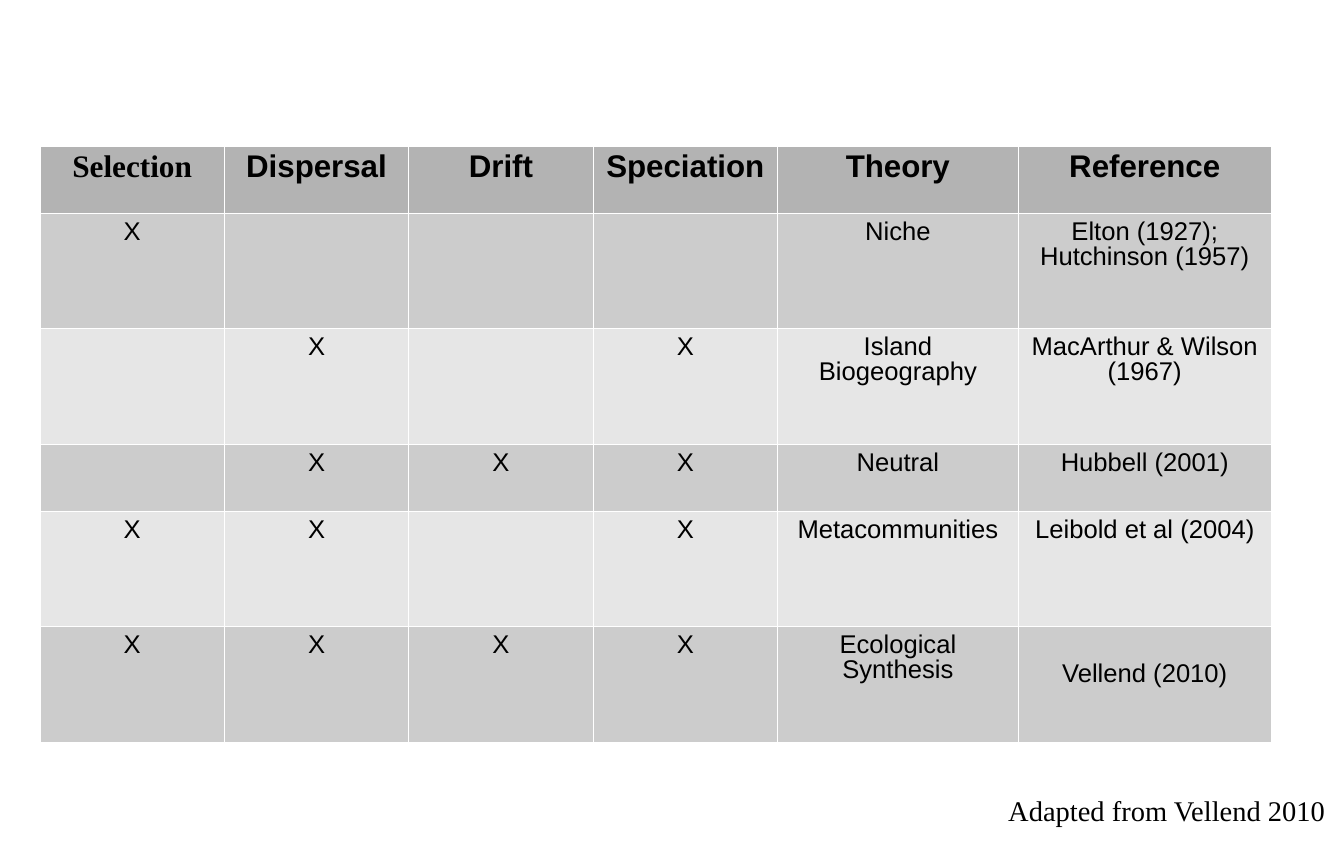
import pptx
import pptx.util
from lxml import etree
from pptx.dml.color import RGBColor
from pptx.enum.text import MSO_ANCHOR, PP_ALIGN
from pptx.oxml.ns import qn
from pptx.util import Inches

COLORS = {
    "header": "B3B3B3",
    "odd": "CCCCCC",
    "even": "E6E6E6",
    "border": "FFFFFF",
    "text": "000000",
}
COLUMN_WIDTHS = [1.8, 1.8, 1.8, 1.8, 2.35, 2.47]
ROW_HEIGHTS = [0.65, 1.13, 1.13, 0.65, 1.13, 1.13]
THEORIES = [
    ["Selection", "Dispersal", "Drift", "Speciation", "Theory", "Reference"],
    ["X", "", "", "", "Niche", "Elton (1927); Hutchinson (1957)"],
    ["", "X", "", "X", "Island Biogeography", "MacArthur & Wilson (1967)"],
    ["", "X", "X", "X", "Neutral", "Hubbell (2001)"],
    ["X", "X", "", "X", "Metacommunities", "Leibold et al (2004)"],
    ["X", "X", "X", "X", "Ecological Synthesis", "Vellend (2010)"],
]


def set_margins(box, left, top, right, bottom):
    box.margin_left, box.margin_top = Inches(left), Inches(top)
    box.margin_right, box.margin_bottom = Inches(right), Inches(bottom)


def format_para(para, size, font_name, spacing, bold=False):
    para.alignment = PP_ALIGN.CENTER
    para.line_spacing = spacing
    para.font.size = pptx.util.Pt(size)
    para.font.name = font_name
    para.font.bold = bold
    para.font.color.rgb = RGBColor.from_string(COLORS["text"])


def add_borders(cell):
    properties = cell._tc.get_or_add_tcPr()
    for position, side in enumerate(("a:lnL", "a:lnR", "a:lnT", "a:lnB")):
        line = etree.Element(qn(side), w=str(pptx.util.Pt(0.75)))
        fill = etree.SubElement(line, qn("a:solidFill"))
        etree.SubElement(fill, qn("a:srgbClr"), val=COLORS["border"])
        properties.insert(position, line)


def fill_cell(cell, text, color, is_header):
    cell.fill.solid()
    cell.fill.fore_color.rgb = RGBColor.from_string(color)
    add_borders(cell)
    set_margins(cell, 0.1, 0.07, 0.1, 0.05)
    cell.text = text
    size = 22 if is_header else 18
    format_para(cell.text_frame.paragraphs[0], size, "Arial", 0.87, is_header)


def add_theory_table(page, left, top):
    frame = page.shapes.add_table(
        len(THEORIES), len(COLUMN_WIDTHS), Inches(left), Inches(top),
        Inches(sum(COLUMN_WIDTHS)), Inches(sum(ROW_HEIGHTS)))
    table = frame.table
    for column, width in zip(table.columns, COLUMN_WIDTHS):
        column.width = Inches(width)
    for index, (row, height) in enumerate(zip(table.rows, ROW_HEIGHTS)):
        row.height = Inches(height)
        is_header = index == 0
        band = "header" if is_header else "odd" if index % 2 else "even"
        for cell, text in zip(row.cells, THEORIES[index]):
            fill_cell(cell, text, COLORS[band], is_header)
    selection = table.cell(0, 0).text_frame.paragraphs[0]
    format_para(selection, 22, "Times New Roman", 0.86, True)
    last_reference = table.cell(len(THEORIES) - 1, len(COLUMN_WIDTHS) - 1)
    last_reference.margin_top = Inches(0.35)


def add_source_note(page, left, top, width, height):
    box = page.shapes.add_textbox(
        Inches(left), Inches(top), Inches(width), Inches(height))
    frame = box.text_frame
    frame.word_wrap = True
    frame.vertical_anchor = MSO_ANCHOR.MIDDLE
    set_margins(frame, 0.04, 0.06, 0.04, 0.04)
    frame.text = "Adapted from Vellend 2010"
    format_para(frame.paragraphs[0], 20, "Times New Roman", 0.93)


def main():
    deck = pptx.Presentation()
    deck.slide_width, deck.slide_height = Inches(13.12), Inches(8.27)
    page = deck.slides.add_slide(deck.slide_layouts[6])
    add_source_note(page, 9.66, 7.57, 3.46, 0.7)
    add_theory_table(page, 0.39, 1.43)
    deck.save("out.pptx")


if __name__ == "__main__":
    main()
